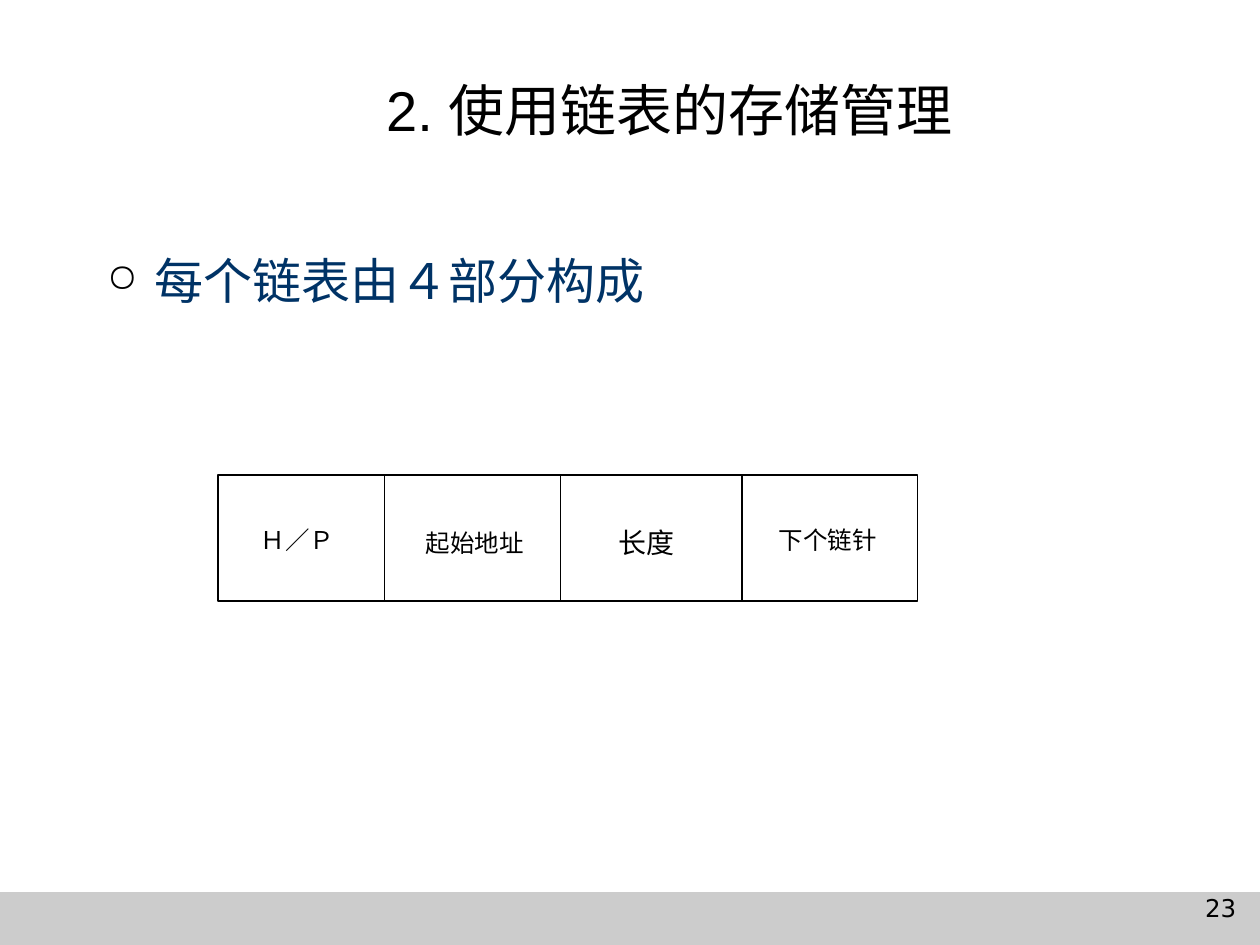
"""Build the slide on the four fields of a linked-list node in storage management."""
from dataclasses import dataclass

from lxml.etree import SubElement
from pptx import Presentation
from pptx.dml.color import RGBColor
from pptx.enum.shapes import MSO_CONNECTOR, MSO_SHAPE
from pptx.enum.text import MSO_ANCHOR, PP_ALIGN
from pptx.oxml.ns import qn
from pptx.util import Inches, Pt

TITLE = "2. 使用链表的存储管理"
BULLET = "每个链表由４部分构成"
PAGE_NUMBER = "23"
FIELDS = [
    {"label": "Ｈ／Ｐ", "width": 1.32, "center": 2.36, "middle": 4.30, "size": 14},
    {"label": "起始地址", "width": 1.40, "center": 3.77, "middle": 4.33, "size": 14},
    {"label": "长度", "width": 1.44, "center": 5.13, "middle": 4.31, "size": 16},
    {"label": "下个链针", "width": 1.39, "center": 6.57, "middle": 4.30, "size": 14},
]
NODE_LEFT, NODE_TOP, NODE_HEIGHT = 1.73, 3.77, 1
LABEL_WIDTH, LABEL_HEIGHT = 1.15, 0.37
SLIDE_WIDTH, SLIDE_HEIGHT, FOOTER_HEIGHT = 10, 7.5, 0.42


@dataclass(frozen=True)
class Theme:
    """Colours, fonts and type sizes of the slide."""
    ink: str = "000000"
    accent: str = "003366"
    paper: str = "FFFFFF"
    footer: str = "CCCCCC"
    heading_font: str = "Arial"
    body_font: str = "DejaVu Sans"
    title_size: int = 32
    body_size: int = 28
    number_size: int = 14
    line_width: float = 0.75


THEME = Theme()


def add_text(page, text, area, size, font, color=THEME.ink,
             align=PP_ALIGN.CENTER, anchor=MSO_ANCHOR.TOP, bullet=None):
    """Add a wrapped one-paragraph text box."""
    box = page.shapes.add_textbox(*map(Inches, area))
    frame = box.text_frame
    frame.word_wrap = True
    frame.vertical_anchor = anchor
    paragraph = frame.paragraphs[0]
    paragraph.text = text
    paragraph.alignment = align
    if bullet:
        add_bullet(paragraph, bullet)
    paragraph.font.size = Pt(size)
    paragraph.font.name = font
    paragraph.font.color.rgb = RGBColor.from_string(color)


def add_bullet(paragraph, symbol):
    """Give a paragraph a hanging bullet."""
    properties = paragraph._p.get_or_add_pPr()
    indent = Inches(0.38)
    properties.set("marL", str(indent))
    properties.set("indent", str(-indent))
    color = SubElement(properties, qn("a:buClr"))
    SubElement(color, qn("a:srgbClr"), val=THEME.ink)
    SubElement(properties, qn("a:buSzPct"), val="80000")
    SubElement(properties, qn("a:buChar"), char=symbol)


def add_rectangle(page, area, fill, outlined=False):
    """Add a flat rectangle, with a thin outline if asked."""
    shape = page.shapes.add_shape(MSO_SHAPE.RECTANGLE, *map(Inches, area))
    shape.shadow.inherit = False
    shape.fill.solid()
    shape.fill.fore_color.rgb = RGBColor.from_string(fill)
    if outlined:
        style_line(shape.line)
    else:
        shape.line.fill.background()


def style_line(line):
    """Apply the thin ink line."""
    line.color.rgb = RGBColor.from_string(THEME.ink)
    line.width = Pt(THEME.line_width)


def add_divider(page, x):
    """Add a vertical line between two fields of the node."""
    ends = (x, NODE_TOP, x, NODE_TOP + NODE_HEIGHT)
    divider = page.shapes.add_connector(MSO_CONNECTOR.STRAIGHT, *map(Inches, ends))
    style_line(divider.line)
    SubElement(divider._element.spPr, qn("a:effectLst"))


def add_node(page):
    """Draw the list node with its dividers and labels."""
    total = sum(field["width"] for field in FIELDS)
    add_rectangle(page, (NODE_LEFT, NODE_TOP, total, NODE_HEIGHT), THEME.paper, True)
    edge = NODE_LEFT
    for field in FIELDS[:-1]:
        edge += field["width"]
        add_divider(page, edge)
    for field in FIELDS:
        area = (field["center"] - LABEL_WIDTH / 2, field["middle"] - LABEL_HEIGHT / 2,
                LABEL_WIDTH, LABEL_HEIGHT)
        add_text(page, field["label"], area, field["size"], THEME.heading_font)


def main():
    """Assemble and save the deck."""
    deck = Presentation()
    deck.slide_width, deck.slide_height = Inches(SLIDE_WIDTH), Inches(SLIDE_HEIGHT)
    page = deck.slides.add_slide(deck.slide_layouts[6])
    footer_top = SLIDE_HEIGHT - FOOTER_HEIGHT
    add_rectangle(page, (0, footer_top, SLIDE_WIDTH, FOOTER_HEIGHT), THEME.footer)
    add_text(page, PAGE_NUMBER, (8.9, 7.04, 1.01, 0.44), THEME.number_size,
             THEME.body_font, align=PP_ALIGN.RIGHT)
    add_text(page, BULLET, (0.75, 1.94, 8.5, 1.68), THEME.body_size, THEME.body_font,
             THEME.accent, PP_ALIGN.LEFT, bullet="○")
    add_node(page)
    add_text(page, TITLE, (1.06, 0.33, 8.51, 1.07), THEME.title_size,
             THEME.heading_font, anchor=MSO_ANCHOR.MIDDLE)
    deck.save("out.pptx")


if __name__ == "__main__":
    main()
